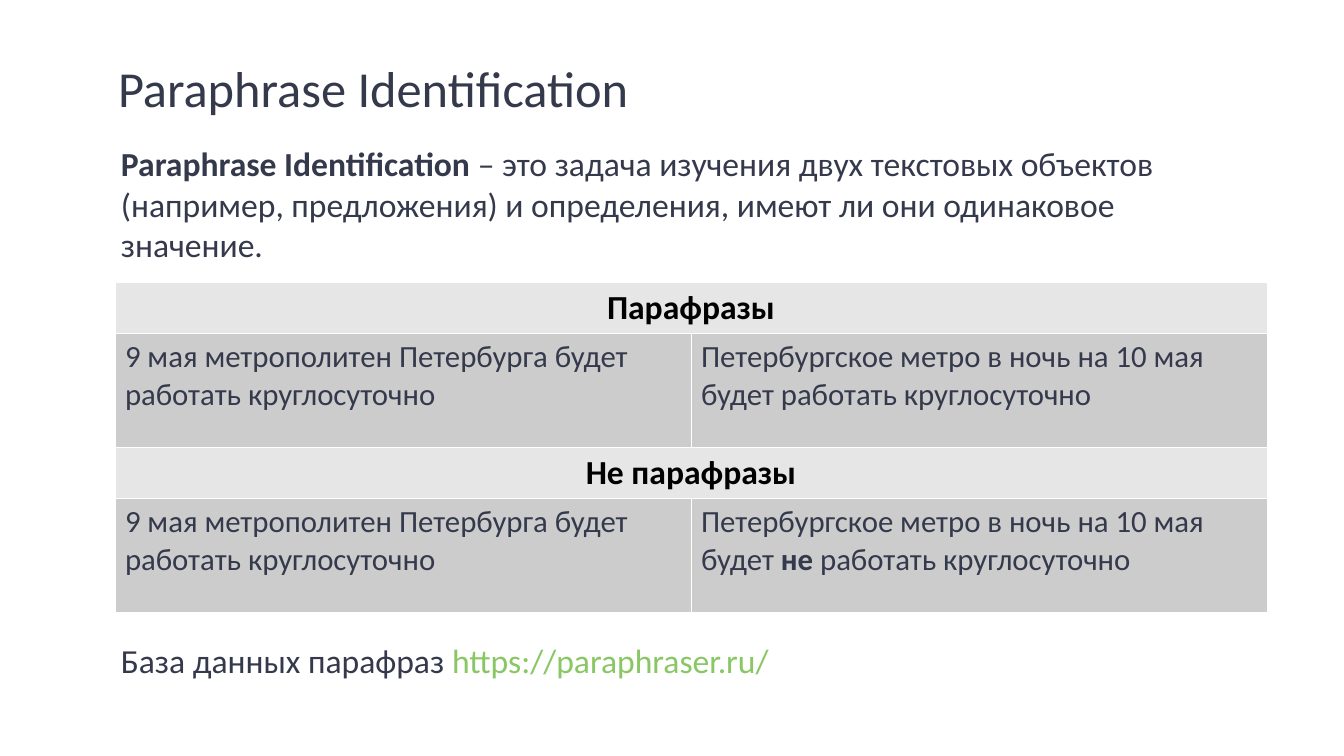
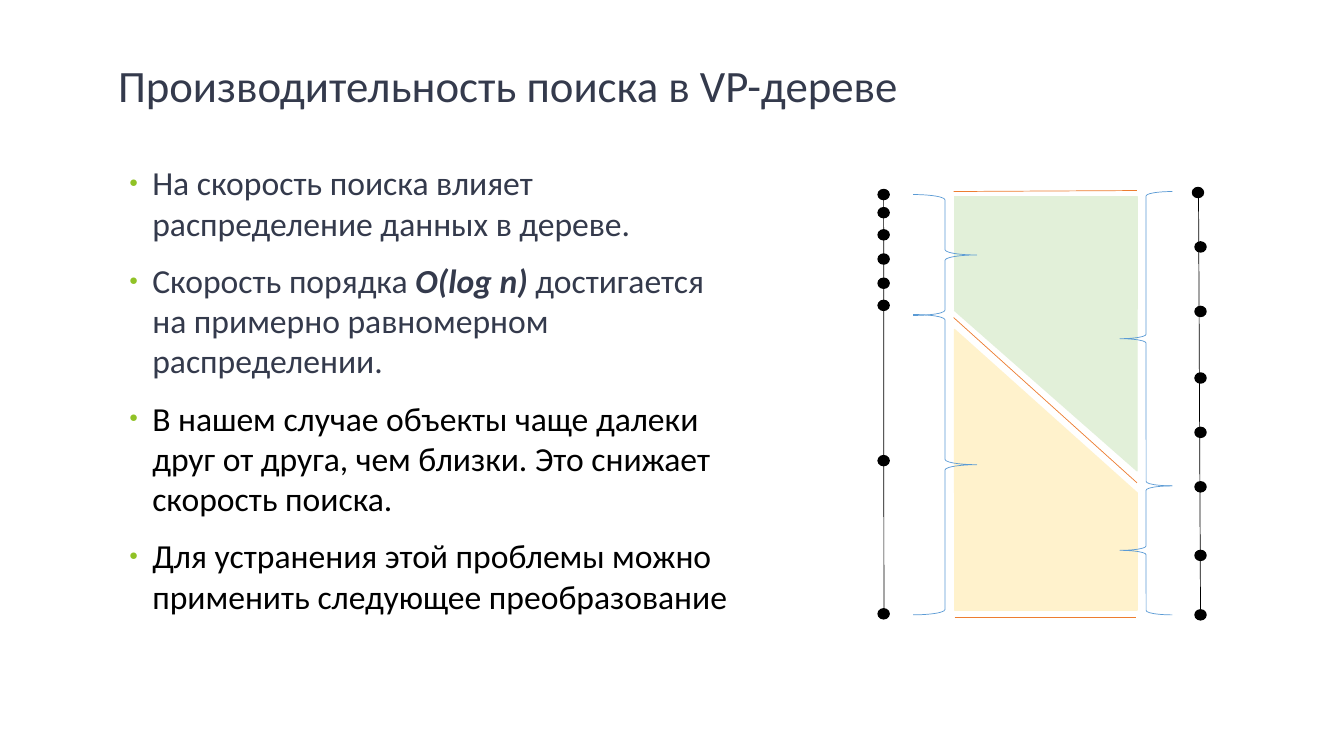
from collections import namedtuple
from lxml.etree import SubElement
from pptx import Presentation
from pptx.dml.color import RGBColor
from pptx.enum.shapes import MSO_CONNECTOR, MSO_SHAPE
from pptx.enum.text import MSO_ANCHOR, MSO_AUTO_SIZE, PP_ALIGN
from pptx.oxml.ns import qn
from pptx.util import Inches, Pt

FONT = "Calibri"
INK, BLACK, WHITE = "343A4C", "000000", "FFFFFF"
LINK, BULLET = "89C765", "90C226"
HEAD, CELL = "E6E6E6", "CCCCCC"
GREEN, YELLOW = "E2F0D9", "FFF2CC"
BLUE, ORANGE = "5B9BD5", "ED7D31"

Box = namedtuple("Box", "x y w h")
PAGE = Box(0, 0, Inches(13.33), Inches(7.5))


def rgb(value):
    return RGBColor.from_string(value)


def part(box, x, y, w, h):
    return Box(round(box.x + box.w * x / 100), round(box.y + box.h * y / 100),
               round(box.w * w / 100), round(box.h * h / 100))


def set_bullet(p, bullet):
    pPr = p._p.get_or_add_pPr()
    pPr.set("marL", str(Inches(0.24) if bullet else 0))
    pPr.set("indent", str(Inches(-0.23) if bullet else 0))
    if not bullet:
        SubElement(pPr, qn("a:buNone"))
        return
    color = SubElement(pPr, qn("a:buClr"))
    SubElement(color, qn("a:srgbClr"), val=BULLET)
    SubElement(pPr, qn("a:buSzPct"), val="45000")
    SubElement(pPr, qn("a:buChar"), char="●")


def write(tf, *paragraphs, size=24, color=INK, bold=False,
          align=PP_ALIGN.LEFT, bullet=False, before=0):
    for i, runs in enumerate(paragraphs):
        p = tf.add_paragraph() if i else tf.paragraphs[0]
        set_bullet(p, bullet)
        p.alignment = align
        p.space_before = Pt(before if i else 0)
        for text, style in runs:
            r = p.add_run()
            r.text = text
            r.font.name = FONT
            r.font.size = Pt(size)
            r.font.bold = style.get("bold", bold)
            r.font.italic = style.get("italic", False)
            r.font.color.rgb = rgb(style.get("color", color))


def place(sp, box, margins=(0.1, 0.05)):
    sp.left, sp.top, sp.width, sp.height = box
    tf = sp.text_frame
    tf.word_wrap = True
    tf.auto_size = MSO_AUTO_SIZE.NONE
    tf.vertical_anchor = MSO_ANCHOR.TOP
    tf.margin_left = tf.margin_right = Inches(margins[0])
    tf.margin_top = tf.margin_bottom = Inches(margins[1])
    return tf


def add_slide(prs, title, size):
    s = prs.slides.add_slide(prs.slide_layouts[1])
    tf = place(s.shapes.title, part(PAGE, 8.78, 7.6, 58.35, 12), (0, 0))
    write(tf, [(title, {})], size=size)
    return s


def add_shape(s, kind, box, fill=None, line=BLACK, width=1):
    sp = s.shapes.add_shape(kind, *box)
    sp.shadow.inherit = False
    if fill:
        sp.fill.solid()
        sp.fill.fore_color.rgb = rgb(fill)
    else:
        sp.fill.background()
    sp.line.color.rgb = rgb(line)
    sp.line.width = Pt(width)
    return sp


def add_line(s, box, start, end, color):
    a, b = part(box, *start, 0, 0), part(box, *end, 0, 0)
    c = s.shapes.add_connector(MSO_CONNECTOR.STRAIGHT, a.x, a.y, b.x, b.y)
    c.line.color.rgb = rgb(color)
    c.line.width = Pt(0.5)
    SubElement(c._element.spPr, qn("a:effectLst"))


def style_cell(cell, fill):
    tcPr = cell._tc.get_or_add_tcPr()
    for side in "LRTB":
        ln = SubElement(tcPr, qn(f"a:ln{side}"), w=str(Pt(0.06)))
        solid = SubElement(ln, qn("a:solidFill"))
        SubElement(solid, qn("a:srgbClr"), val=WHITE)
    cell.fill.solid()
    cell.fill.fore_color.rgb = rgb(fill)


def add_examples(s, box, groups):
    tbl = s.shapes.add_table(2 * len(groups), 2, *box).table
    tbl.first_row = tbl.horz_banding = False
    for col in tbl.columns:
        col.width = box.w // 2
    for i, (heading, pair) in enumerate(groups):
        for row, share, fill in ((2 * i, 0.15, HEAD), (2 * i + 1, 0.35, CELL)):
            tbl.rows[row].height = round(box.h * share)
            for col in range(2):
                style_cell(tbl.cell(row, col), fill)
        head = tbl.cell(2 * i, 0)
        head.merge(tbl.cell(2 * i, 1))
        write(head.text_frame, [(heading, {})], color=BLACK, bold=True,
              align=PP_ALIGN.CENTER)
        for col, runs in enumerate(pair):
            write(tbl.cell(2 * i + 1, col).text_frame, runs, size=22)


def add_bands(s, box):
    x, w = 23.33, 54.85
    for kind, y, h, color, turn in (
            (MSO_SHAPE.RIGHT_TRIANGLE, 33.02, 37.67, YELLOW, 0),
            (MSO_SHAPE.RECTANGLE, 70.7, 26.98, YELLOW, 0),
            (MSO_SHAPE.RIGHT_TRIANGLE, 28.6, 36.98, GREEN, 180),
            (MSO_SHAPE.RECTANGLE, 2.33, 26.05, GREEN, 0)):
        sp = add_shape(s, kind, part(box, x, y, w, h), color, color)
        sp.rotation = turn


def add_braces(s, box):
    for kind, x, w, spans in (
            (MSO_SHAPE.RIGHT_BRACE, 10.91, 19.09, ((1.86, 27.91), (29.53, 69.3))),
            (MSO_SHAPE.LEFT_BRACE, 73.03, 15.76, ((1.16, 67.91), (69.07, 29.77)))):
        for y, h in spans:
            add_shape(s, kind, part(box, x, y, w, h), line=BLUE, width=0.5)


def add_dots(s, box, points):
    w, h = 3.33, 2.33
    for x, y in points:
        add_shape(s, MSO_SHAPE.OVAL, part(box, x - w / 2, y - h / 2, w, h), BLACK)


def add_mapping(s, box):
    add_bands(s, box)
    add_braces(s, box)
    for start, end, color in (
            ((2, 0.7), (2.1, 99.77), BLACK),
            ((96.67, 1.4), (97.27, 97.67), BLACK),
            ((23.03, 30.23), (78.18, 68.37), ORANGE),
            ((23.03, 1.16), (78.18, 0.93), ORANGE),
            ((23.33, 99.3), (77.88, 99.3), ORANGE)):
        add_line(s, box, start, end, color)
    left = (1.86, 6.05, 11.16, 16.74, 22.33, 27.44, 63.26, 98.6)
    right = (13.95, 28.84, 44.19, 56.74, 69.3, 85.12, 98.84)
    add_dots(s, box, [(2, y) for y in left])
    add_dots(s, box, [(96.5, 1.4)] + [(97.27, y) for y in right])


def paraphrase_slide(prs):
    s = add_slide(prs, "Paraphrase Identification", 36)
    tf = place(s.placeholders[1], part(PAGE, 8.25, 18.27, 81.53, 18))
    write(tf, [("Paraphrase Identification", {"bold": True}),
               (" – это задача изучения двух текстовых объектов (например, "
                "предложения) и определения, имеют ли они одинаковое значение.", {})])
    first = [("9 мая метрополитен Петербурга будет работать круглосуточно", {})]
    same = [("Петербургское метро в ночь на 10 мая будет работать круглосуточно", {})]
    other = [("Петербургское метро в ночь на 10 мая будет ", {}),
             ("не", {"bold": True}), (" работать круглосуточно", {})]
    add_examples(s, part(PAGE, 8.55, 37.33, 85.73, 43.07),
                 [("Парафразы", (first, same)), ("Не парафразы", (first, other))])
    box = part(PAGE, 8.25, 84, 81.53, 9.33)
    write(place(s.shapes.add_textbox(*box), box),
          [("База данных парафраз ", {}),
           ("https://paraphraser.ru/", {"color": LINK})])


def search_slide(prs):
    s = add_slide(prs, "Производительность поиска в VP-дереве", 32)
    tf = place(s.placeholders[1], part(PAGE, 8.78, 20.8, 46.35, 50.67))
    write(tf,
          [("На скорость поиска влияет распределение данных в дереве.", {})],
          [("Скорость порядка ", {}),
           ("O(log n) ", {"bold": True, "italic": True}),
           ("достигается на примерно равномерном распределении.", {})],
          [("В нашем случае объекты чаще далеки друг от друга, чем близки. "
            "Это снижает скорость поиска.", {"color": BLACK})],
          [("Для устранения этой проблемы можно применить следующее "
            "преобразование", {"color": BLACK})],
          bullet=True, before=12)
    add_mapping(s, part(PAGE, 65.25, 24.67, 24.75, 57.33))


def main():
    prs = Presentation()
    prs.slide_width, prs.slide_height = PAGE.w, PAGE.h
    paraphrase_slide(prs)
    search_slide(prs)
    prs.save("out.pptx")


if __name__ == "__main__":
    main()
